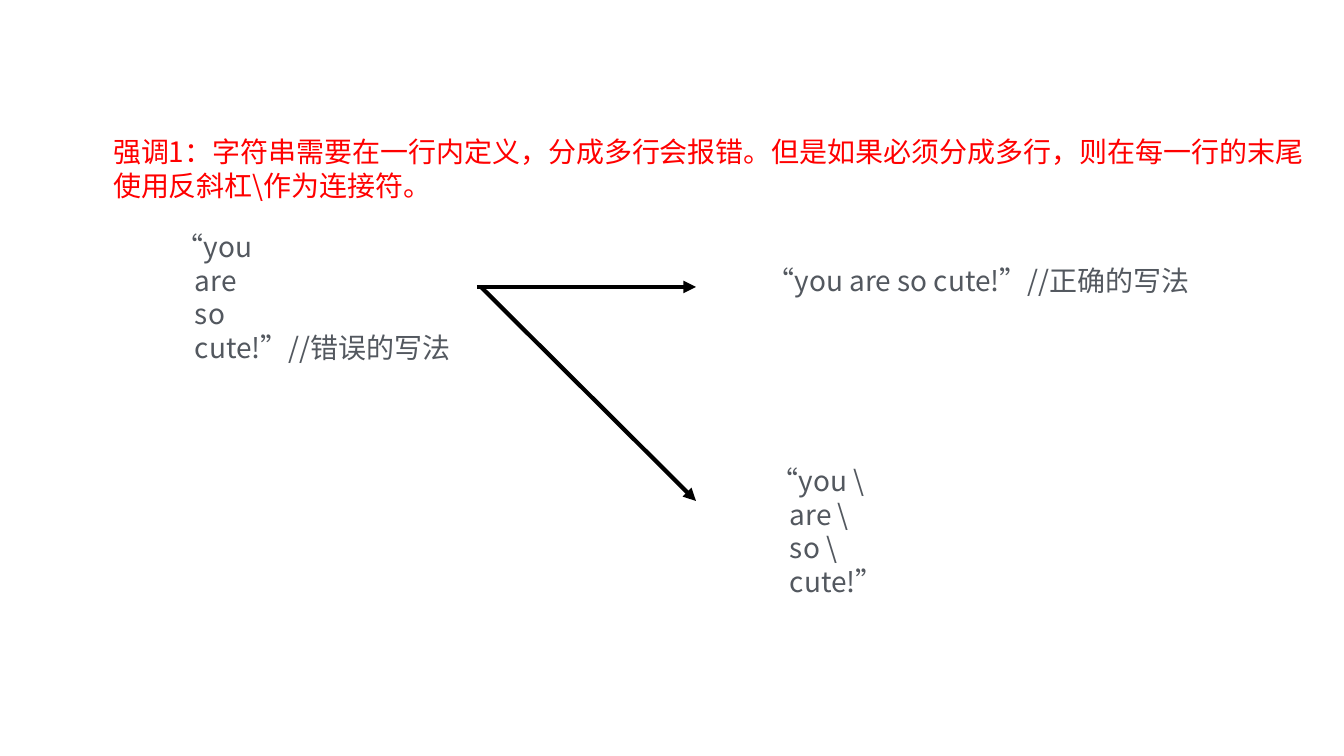
from pptx import Presentation
from pptx.dml.color import RGBColor
from pptx.enum.text import MSO_ANCHOR, MSO_AUTO_SIZE, PP_ALIGN
from pptx.enum.shapes import MSO_CONNECTOR
from pptx.oxml.ns import qn
from pptx.util import Emu, Pt
from lxml.etree import SubElement

FONT = "Noto Sans CJK SC"
RED, GRAY, BLACK = "FF0000", "53585F", "000000"
TITLE = "强调1：字符串需要在一行内定义，分成多行会报错。但是如果必须分成多行，则在每一行的末尾使用反斜杠\\作为连接符。"
HEAD = (108, 132, 1207, 72)
TAB, STEP = 50, 69
NOTES = [
    ((762, 261, 444, 39), [("“you are so cute!”//正确的写法", 0)]),
    ((121, 227, 368, 140), [("“you", TAB), ("are", STEP), ("so", STEP),
                            ("cute!”//错误的写法", STEP)]),
    ((716, 461, 368, 140), [("“you \\", TAB), ("are \\", STEP), ("so \\", STEP),
                            ("cute!”", STEP)]),
]
ARROWS = [(477, 287, 696, 287), (481, 287, 696, 501)]


def px(n):
    return Emu(round(n * 914400 / 50.4))


def color(code):
    return RGBColor.from_string(code)


def fill(box, lines, tint):
    frame = box.text_frame
    form = {"word_wrap": True, "auto_size": MSO_AUTO_SIZE.NONE,
            "vertical_anchor": MSO_ANCHOR.TOP}
    for key, value in form.items():
        setattr(frame, key, value)
    for i, (text, indent) in enumerate(lines):
        para = frame.add_paragraph() if i else frame.paragraphs[0]
        para.alignment = PP_ALIGN.LEFT
        para.line_spacing = Pt(48)
        para._p.get_or_add_pPr().set("marL", str(px(indent)))
        run = para.add_run()
        run.text = text
        for key, value in {"name": FONT, "size": Pt(40)}.items():
            setattr(run.font, key, value)
        run.font.color.rgb = color(tint)
        SubElement(run._r.get_or_add_rPr(), qn("a:ea"), typeface=FONT)


def arrow(shapes, ends):
    line = shapes.add_connector(MSO_CONNECTOR.STRAIGHT, *map(px, ends))
    line.line.width = Pt(6)
    line.line.color.rgb = color(BLACK)
    SubElement(line.line._get_or_add_ln(), qn("a:tailEnd"), type="triangle")
    SubElement(line._element.spPr, qn("a:effectLst"))


def main():
    deck = Presentation()
    deck.slide_width, deck.slide_height = px(1344), px(756)
    shapes = deck.slides.add_slide(deck.slide_layouts[5]).shapes
    title = shapes.title
    for key, value in zip(("left", "top", "width", "height"), HEAD):
        setattr(title, key, px(value))
    fill(title, [(TITLE, 0)], RED)
    for area, lines in NOTES:
        fill(shapes.add_textbox(*map(px, area)), lines, GRAY)
    for ends in ARROWS:
        arrow(shapes, ends)
    deck.save("out.pptx")


if __name__ == "__main__":
    main()
